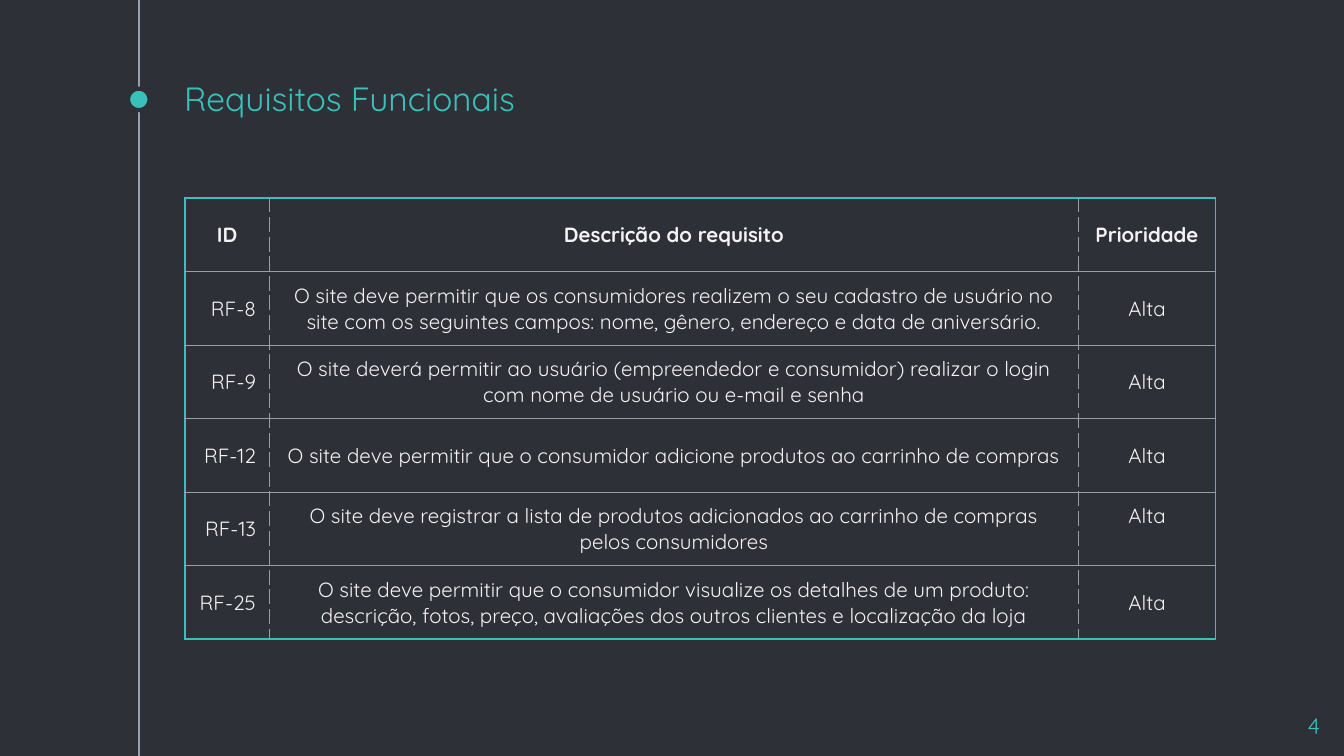
from lxml import etree
from pptx import Presentation
from pptx.dml.color import RGBColor
from pptx.enum.shapes import MSO_CONNECTOR, MSO_SHAPE
from pptx.enum.text import MSO_ANCHOR, PP_ALIGN
from pptx.oxml.ns import qn
from pptx.util import Inches, Pt

LEFT, CENTER, RIGHT = PP_ALIGN.LEFT, PP_ALIGN.CENTER, PP_ALIGN.RIGHT
TOP, MIDDLE, BOTTOM = MSO_ANCHOR.TOP, MSO_ANCHOR.MIDDLE, MSO_ANCHOR.BOTTOM
STRAIGHT, OVAL = MSO_CONNECTOR.STRAIGHT, MSO_SHAPE.OVAL

WIDTH = Inches(10)
HEIGHT = WIDTH * 9 // 16
FONT = "Quicksand"
DARK, TEAL, GREY, PALE = "2E3037", "39C0BA", "999FA9", "F3F3F3"
OUTER, INNER, DASHED = (TEAL, 1, "solid"), (GREY, 0.75, "solid"), (GREY, 0.75, "dash")

RAIL = Pt(74.4)
DOT = Inches(0.16)
COLS = [Inches(0.63), Inches(6.02), Inches(1.02)]
ROW = Pt(39.4)
ROWS = [
    ("ID", "Descrição do requisito", "Prioridade"),
    ("RF-8", "O site deve permitir que os consumidores realizem o seu cadastro de usuário "
     "no site com os seguintes campos: nome, gênero, endereço e data de aniversário.", "Alta"),
    ("RF-9", "O site deverá permitir ao usuário (empreendedor e consumidor) realizar o login "
     "com nome de usuário ou e-mail e senha", "Alta"),
    ("RF-12", "O site deve permitir que o consumidor adicione produtos ao carrinho de compras",
     "Alta"),
    ("RF-13", "O site deve registrar a lista de produtos adicionados ao carrinho de compras "
     "pelos consumidores", "Alta"),
    ("RF-25", "O site deve permitir que o consumidor visualize os detalhes de um produto: "
     "descrição, fotos, preço, avaliações dos outros clientes e localização da loja", "Alta"),
]
RAISED = (4, 2)  # the one cell whose text sits higher


def color(code):
    return RGBColor.from_string(code)


def write(frame, text, size, code, align, bold=False):
    frame.text = text
    for para in frame.paragraphs:
        para.alignment = align
        for run in para.runs:
            run.font.name = FONT
            run.font.size = Pt(size)
            run.font.bold = bold
            run.font.color.rgb = color(code)


def pad(frame, anchor):
    frame.word_wrap = True
    frame.vertical_anchor = anchor
    frame.margin_left = frame.margin_right = Inches(0.1)
    frame.margin_top = frame.margin_bottom = Inches(0.1)


def add_rail(slide):
    """Draw the vertical line and the dot beside the title."""
    rail = slide.shapes.add_connector(STRAIGHT, RAIL, 0, RAIL, HEIGHT)
    rail.line.color.rgb = color(GREY)
    rail.line.width = Pt(0.75)
    etree.SubElement(rail._element.spPr, qn("a:effectLst"))
    dot = slide.shapes.add_shape(OVAL, RAIL - DOT // 2, Inches(0.66), DOT, DOT)
    dot.shadow.inherit = False
    dot.fill.solid()
    dot.fill.fore_color.rgb = color(TEAL)
    dot.line.color.rgb = color(DARK)
    dot.line.width = Pt(2.25)


def set_title(slide, text):
    title = slide.shapes.title
    title.left, title.top = Inches(1.27), Inches(0.6)
    title.width, title.height = Inches(7.5), Inches(0.38)
    pad(title.text_frame, BOTTOM)
    write(title.text_frame, text, 18, TEAL, LEFT)


def set_edges(cell, left, right, top, bottom):
    props = cell._tc.get_or_add_tcPr()
    edges = zip(("a:lnL", "a:lnR", "a:lnT", "a:lnB"), (left, right, top, bottom))
    for spot, (tag, (code, width, dash)) in enumerate(edges):
        line = etree.Element(qn(tag), w=str(Pt(width)))
        fill = etree.SubElement(line, qn("a:solidFill"))
        etree.SubElement(fill, qn("a:srgbClr"), val=code)
        etree.SubElement(line, qn("a:prstDash"), val=dash)
        props.insert(spot, line)


def add_grid(slide):
    frame = slide.shapes.add_table(len(ROWS), len(COLS), Pt(99), Pt(106.2),
                                   sum(COLS), ROW * len(ROWS))
    table = frame.table
    table.first_row = table.horz_banding = False
    for col, width in zip(table.columns, COLS):
        col.width = width
    last_row, last_col = len(ROWS) - 1, len(COLS) - 1
    for r, texts in enumerate(ROWS):
        table.rows[r].height = ROW
        for c, text in enumerate(texts):
            cell = table.cell(r, c)
            cell.fill.background()
            cell.vertical_anchor = MIDDLE
            cell.margin_left = cell.margin_right = Inches(0.1)
            cell.margin_top = Inches(0.07)
            cell.margin_bottom = Inches(0.26 if (r, c) == RAISED else 0.07)
            align = RIGHT if c == 0 and r > 0 else CENTER
            write(cell.text_frame, text, 11, PALE, align, bold=r == 0)
            set_edges(cell,
                      OUTER if c == 0 else DASHED,
                      OUTER if c == last_col else DASHED,
                      OUTER if r == 0 else INNER,
                      OUTER if r == last_row else INNER)


def add_number(slide, text):
    box = slide.shapes.add_textbox(Inches(9.32), Inches(5.2), Inches(0.6), Inches(0.34))
    pad(box.text_frame, TOP)
    write(box.text_frame, text, 12, TEAL, RIGHT)


def main():
    deck = Presentation()
    deck.slide_width, deck.slide_height = WIDTH, HEIGHT
    slide = deck.slides.add_slide(deck.slide_layouts[5])
    slide.background.fill.solid()
    slide.background.fill.fore_color.rgb = color(DARK)
    add_rail(slide)
    set_title(slide, "Requisitos Funcionais")
    add_grid(slide)
    add_number(slide, "4")
    deck.save("out.pptx")


if __name__ == "__main__":
    main()
